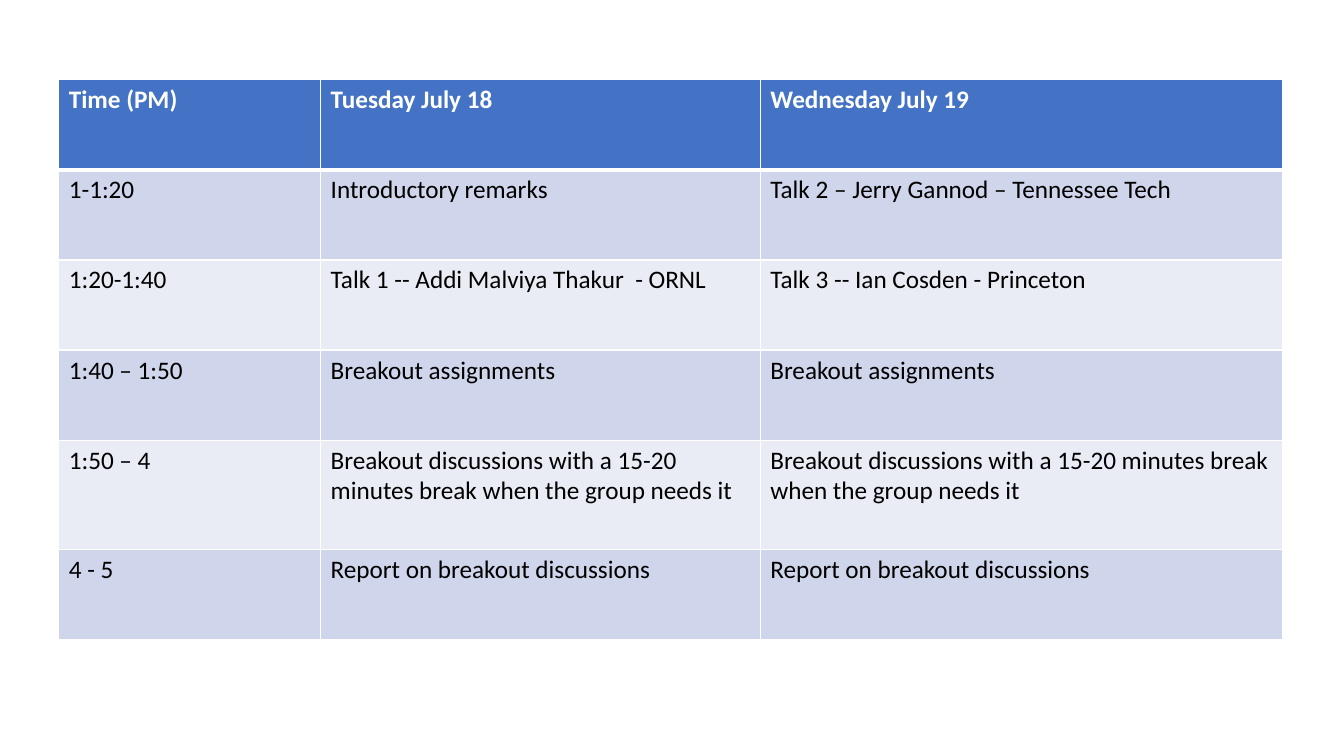
"""Build a slide with the two-day workshop schedule."""
from lxml.etree import SubElement
from pptx import Presentation
from pptx.dml.color import RGBColor as Rgb
from pptx.oxml.ns import qn
from pptx.util import Cm, Pt

COLORS = {
    "header": "4472C4",
    "odd": "CFD5EA",
    "even": "E9EBF5",
    "white": "FFFFFF",
    "black": "000000",
}
DISCUSSIONS = "Breakout discussions with a 15-20 minutes break when the group needs it"
SCHEDULE = [
    ("Time (PM)", "Tuesday July 18", "Wednesday July 19"),
    ("1-1:20", "Introductory remarks", "Talk 2 – Jerry Gannod – Tennessee Tech"),
    ("1:20-1:40", "Talk 1 -- Addi Malviya Thakur  - ORNL", "Talk 3 -- Ian Cosden - Princeton"),
    ("1:40 – 1:50", "Breakout assignments", "Breakout assignments"),
    ("1:50 – 4", DISCUSSIONS, DISCUSSIONS),
    ("4 - 5", "Report on breakout discussions", "Report on breakout discussions"),
]
COLUMN_WIDTHS = [Cm(6.6), Cm(11.08), Cm(13.16)]
ROW_HEIGHTS = [Cm(2.75) if DISCUSSIONS in row else Cm(2.27) for row in SCHEDULE]


def write(frame, text, *, size=18, font="Calibri", color="black", bold=False):
    run = frame.paragraphs[0].add_run()
    run.text = text
    run.font.size = Pt(size)
    run.font.name = font
    run.font.bold = bold
    run.font.color.rgb = Rgb.from_string(COLORS[color])


def add_borders(cell, **widths):
    properties = cell._tc.get_or_add_tcPr()
    for side in "LRTB":
        line = SubElement(properties, qn(f"a:ln{side}"), w=str(Pt(widths.get(side, 1))))
        fill = SubElement(line, qn("a:solidFill"))
        SubElement(fill, qn("a:srgbClr"), val=COLORS["white"])


def fill_cell(cell, color):
    cell.fill.solid()
    cell.fill.fore_color.rgb = Rgb.from_string(COLORS[color])


def add_schedule(slide, left, top):
    schedule = slide.shapes.add_table(
        len(SCHEDULE), len(COLUMN_WIDTHS), left, top, sum(COLUMN_WIDTHS), sum(ROW_HEIGHTS)
    ).table
    for column, width in zip(schedule.columns, COLUMN_WIDTHS):
        column.width = width
    for row, height in zip(schedule.rows, ROW_HEIGHTS):
        row.height = height
    for index, entries in enumerate(SCHEDULE):
        is_header = index == 0
        band = "header" if is_header else "odd" if index % 2 else "even"
        widths = {0: {"B": 3}, 1: {"T": 3}}.get(index, {})
        for cell, text in zip(schedule.rows[index].cells, entries):
            add_borders(cell, **widths)
            fill_cell(cell, band)
            write(cell.text_frame, text, color="white" if is_header else "black", bold=is_header)


def main():
    deck = Presentation()
    deck.slide_width, deck.slide_height = Cm(33.87), Cm(19.05)
    slide = deck.slides.add_slide(deck.slide_layouts[6])
    add_schedule(slide, Cm(1.48), Cm(2.01))
    deck.save("out.pptx")


if __name__ == "__main__":
    main()
